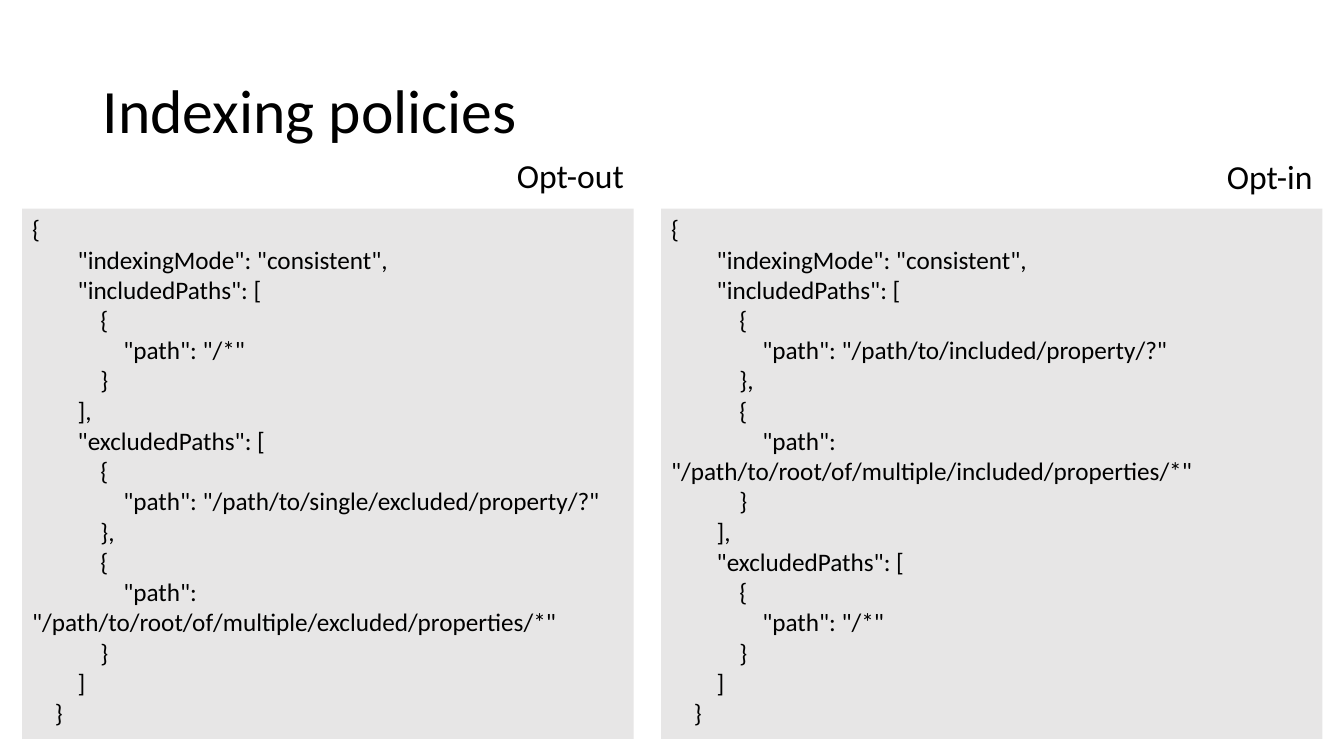
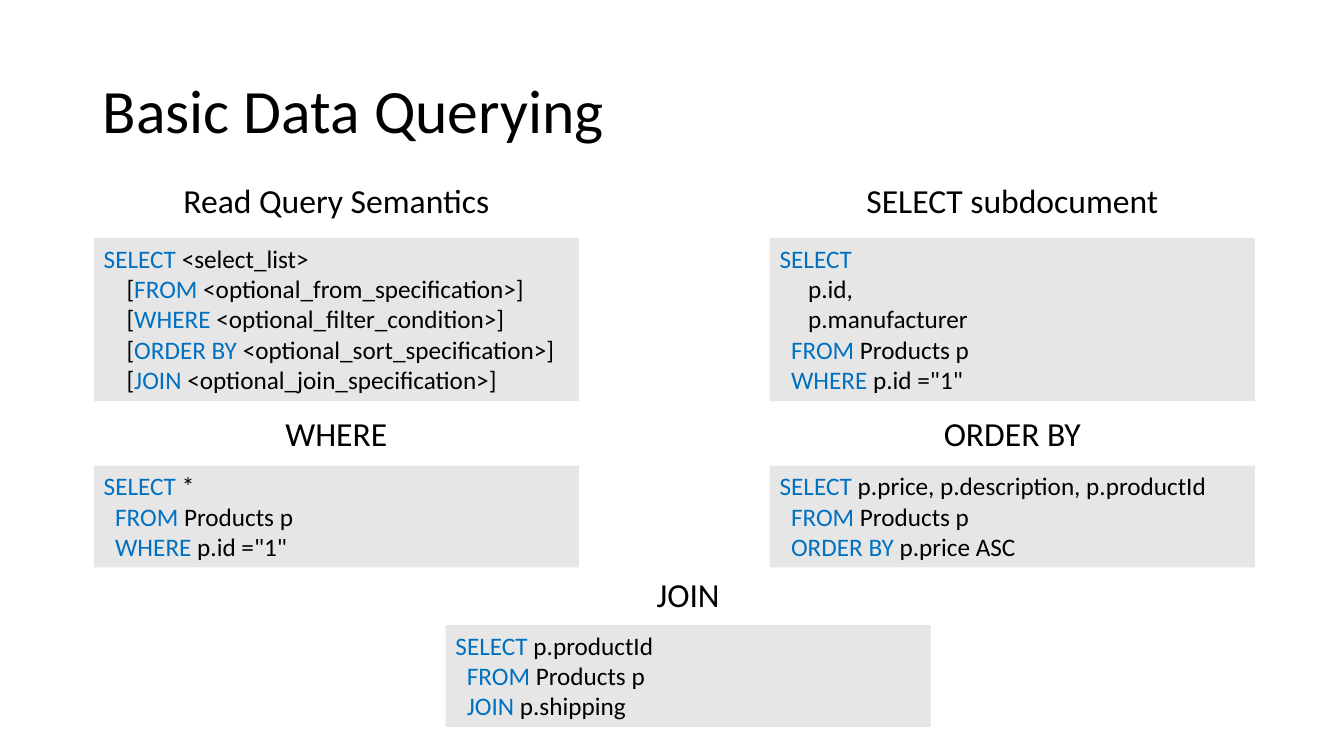
import pptx
import pptx.util
import pptx.dml.color
import pptx.enum.shapes
import pptx.enum.text

ALIGN = pptx.enum.text.PP_ALIGN
FIT = pptx.enum.text.MSO_AUTO_SIZE
ANCHOR = pptx.enum.text.MSO_ANCHOR
RECT = pptx.enum.shapes.MSO_SHAPE.RECTANGLE
INK, KEY, GRAY = "000000", "0070C0", "E7E6E6"
FONT = "Calibri"
SPACE = 0.226

deck = pptx.Presentation()
deck.slide_width = pptx.util.Inches(13.33)
deck.slide_height = pptx.util.Inches(7.5)
COL = deck.slide_width / 100
ROW = deck.slide_height / 100


def hue(code):
    return pptx.dml.color.RGBColor.from_string(code)


def write(frame, lines, size=18, align=ALIGN.LEFT, lead=1.0, anchor=ANCHOR.TOP, fit=FIT.NONE):
    frame.word_wrap = True
    frame.auto_size = fit
    frame.vertical_anchor = anchor
    for num, line in enumerate(lines):
        para = frame.paragraphs[0] if num == 0 else frame.add_paragraph()
        para.alignment = align
        para.line_spacing = lead
        text = line.lstrip()
        depth = len(line) - len(text)
        if depth:
            props = para._p.get_or_add_pPr()
            props.set("marL", "0")
            props.set("indent", str(pptx.util.Pt(depth * SPACE * size)))
        for part, words in enumerate(text.split("|")):
            if words:
                run = para.add_run()
                run.text = words
                run.font.name = FONT
                run.font.size = pptx.util.Pt(size)
                run.font.color.rgb = hue(KEY if part % 2 else INK)


plan = deck.slide_layouts[5]
head = plan.placeholders[0]
head.left, head.top = int(6.9 * COL), int(5.33 * ROW)
head.width, head.height = int(86.25 * COL), int(19.33 * ROW)

rules = []
for plus, minus in [
    (["/*"],
     ["/path/to/single/excluded/property/?", "/path/to/root/of/multiple/excluded/properties/*"]),
    (["/path/to/included/property/?", "/path/to/root/of/multiple/included/properties/*"],
     ["/*"]),
]:
    code = ["{", '        "indexingMode": "consistent",']
    for name, items, end in [("included", plus, "],"), ("excluded", minus, "]")]:
        code.append(f'        "{name}Paths": [')
        for num, item in enumerate(items, 1):
            code += ["            {",
                     f'                "path": "{item}"',
                     "            }" + ("," if num < len(items) else "")]
        code.append("        " + end)
    rules.append(code + ["    }"])

LEFT, MID, RIGHT, WIDE = 6.98, 33.15, 57.27, 36.1
FROM = "  |FROM| Products p"
MATCH = '  |WHERE| p.id ="1"'

pages = [
    ("Indexing policies", ALIGN.RIGHT, 6.5, [
        ("Opt-out", 1.65, 45.5, 20.3, 1.65, 45.5, 27.6, 17, rules[0]),
        ("Opt-in", 52.9, 45.5, 20.4, 49.2, 49.2, 27.6, 17, rules[1]),
    ]),
    ("Basic Data Querying", ALIGN.CENTER, 10.8, [
        ("Read Query Semantics", LEFT, WIDE, 21.35, LEFT, WIDE, 31.5, 5, [
            "|SELECT| <select_list>",
            "    [|FROM| <optional_from_specification>]",
            "    [|WHERE| <optional_filter_condition>]",
            "    [|ORDER BY| <optional_sort_specification>]",
            "    [|JOIN| <optional_join_specification>]"]),
        ("SELECT subdocument", RIGHT, WIDE, 21.45, RIGHT, WIDE, 31.5, 5, [
            "|SELECT|", "     p.id,", "     p.manufacturer", FROM, MATCH]),
        ("WHERE", LEFT, WIDE, 52.15, LEFT, WIDE, 61.6, 3, [
            "|SELECT| *", FROM, MATCH]),
        ("ORDER BY", RIGHT, WIDE, 52.15, RIGHT, WIDE, 61.6, 3, [
            "|SELECT| p.price, p.description, p.productId", FROM,
            "  |ORDER BY| p.price ASC"]),
        ("JOIN", MID, WIDE, 73.5, MID, WIDE, 82.7, 3, [
            "|SELECT| p.productId", FROM, "  |JOIN| p.shipping"]),
    ]),
]

for title, align, high, cards in pages:
    slide = deck.slides.add_slide(plan)
    write(slide.shapes.title.text_frame, [title], size=44, lead=0.9, anchor=ANCHOR.MIDDLE)
    for label, tab, span, top, left, width, base, rows, code in cards:
        box = slide.shapes.add_shape(
            RECT, int(left * COL), int(base * ROW),
            int(width * COL), int((rows * 4.05 + 1.3) * ROW))
        box.shadow.inherit = False
        box.fill.solid()
        box.fill.fore_color.rgb = hue(GRAY)
        box.line.fill.background()
        write(box.text_frame, code, fit=FIT.SHAPE_TO_FIT_TEXT)
        text = slide.shapes.add_textbox(
            int(tab * COL), int(top * ROW), int(span * COL), int(high * ROW))
        write(text.text_frame, [label], size=24, align=align, lead=0.9, anchor=ANCHOR.MIDDLE)

deck.save("out.pptx")
